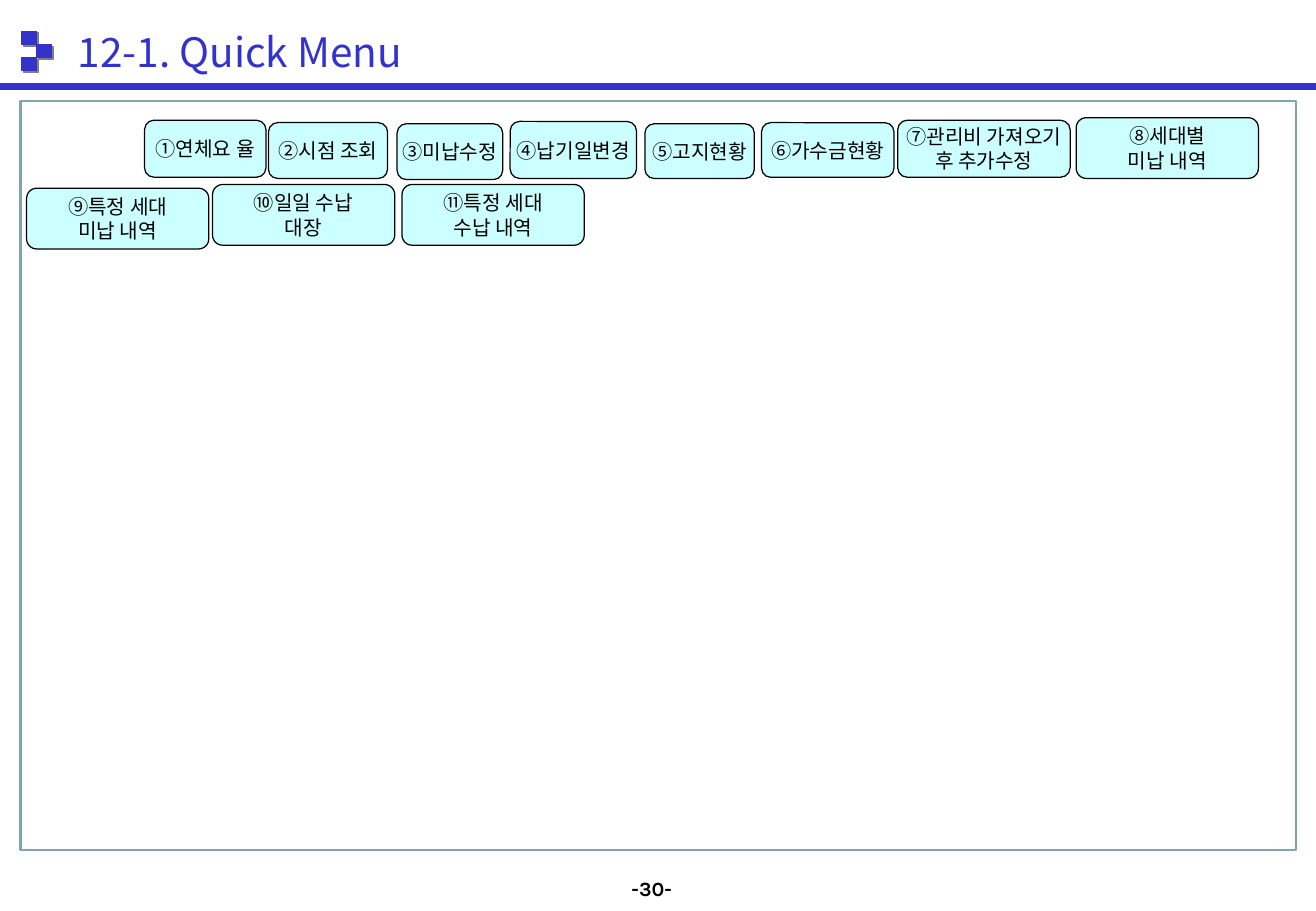
from dataclasses import dataclass

from pptx import Presentation
from pptx.dml.color import RGBColor
from pptx.enum.shapes import MSO_CONNECTOR, MSO_SHAPE
from pptx.enum.text import MSO_ANCHOR, MSO_AUTO_SIZE, PP_ALIGN
from pptx.oxml.xmlchemy import OxmlElement
from pptx.shapes.autoshape import Shape
from pptx.slide import Slide
from pptx.text.text import TextFrame
from pptx.util import Pt

RECT = MSO_SHAPE.RECTANGLE
ROUND = MSO_SHAPE.ROUNDED_RECTANGLE
STRAIGHT = MSO_CONNECTOR.STRAIGHT
MIDDLE = MSO_ANCHOR.MIDDLE
LEFT, CENTER = PP_ALIGN.LEFT, PP_ALIGN.CENTER
NO_FIT = MSO_AUTO_SIZE.NONE

BLUE = RGBColor(0x33, 0x33, 0xCC)
TEAL = RGBColor(0x81, 0xA4, 0xB1)
CYAN = RGBColor(0xCC, 0xFF, 0xFF)
BLACK = RGBColor(0, 0, 0)
SANS = "Noto Sans CJK KR"
KARLA = "Karla"
WIDTH, HEIGHT = 780, 540


@dataclass(frozen=True)
class Box:
    left: float
    top: float
    width: float
    height: float


@dataclass(frozen=True)
class Button:
    box: Box
    lines: tuple[str, ...]


BUTTONS = (
    Button(Box(85.7, 71.3, 72, 33.8), ("①연체요 율",)),
    Button(Box(159.1, 72.7, 70.6, 33.1), ("②시점 조회",)),
    Button(Box(235.4, 73.4, 62.6, 33.1), ("③미납수정",)),
    Button(Box(302.4, 72, 74.9, 33.8), ("④납기일변경",)),
    Button(Box(382.3, 73.4, 64.8, 32.4), ("⑤고지현황",)),
    Button(Box(451.4, 72.7, 78.5, 32.4), ("⑥가수금현황",)),
    Button(Box(532.1, 71.3, 102.2, 33.8), ("⑦관리비 가져오기", "후 추가수정")),
    Button(Box(637.9, 69.8, 108, 36), ("⑧세대별", "미납 내역")),
    Button(Box(15.8, 111.6, 108, 36), ("⑨특정 세대", "미납 내역")),
    Button(Box(126, 109.4, 108, 36), ("⑩일일 수납", "대장")),
    Button(Box(238.3, 109.4, 108, 36), ("⑪특정 세대", "수납 내역")),
)
MARKS = ((13, 18.5), (21.7, 26.4), (13, 34.2))


def write(frame: TextFrame, lines: tuple[str, ...], size: float, font: str,
          color: RGBColor, align: PP_ALIGN, bold: bool = False) -> None:
    for i, line in enumerate(lines):
        para = frame.paragraphs[0] if i == 0 else frame.add_paragraph()
        para.alignment = align
        run = para.add_run()
        run.text = line
        run.font.size = Pt(size)
        run.font.bold = bold
        run.font.color.rgb = color
        run.font.name = font
        east = OxmlElement("a:ea")
        east.set("typeface", font)
        run.font._element.append(east)


def add_box(slide: Slide, kind: MSO_SHAPE, box: Box, fill: RGBColor | None,
            edge: RGBColor, weight: float) -> Shape:
    shape = slide.shapes.add_shape(
        kind, Pt(box.left), Pt(box.top), Pt(box.width), Pt(box.height))
    shape.shadow.inherit = False
    if fill is None:
        shape.fill.background()
    else:
        shape.fill.solid()
        shape.fill.fore_color.rgb = fill
    shape.line.color.rgb = edge
    shape.line.width = Pt(weight)
    return shape


def add_shade(shape: Shape) -> None:
    """Cast a hard grey shadow down and to the right."""
    shade = OxmlElement("a:outerShdw")
    shade.set("dist", str(Pt(1.4)))
    shade.set("dir", "2700000")
    shade.set("algn", "ctr")
    shade.set("rotWithShape", "0")
    color = OxmlElement("a:srgbClr")
    color.set("val", "808080")
    shade.append(color)
    shape._element.spPr.find("{*}effectLst").append(shade)


def add_head(slide: Slide) -> None:
    """Draw the marker squares, the rule and the title."""
    for left, top in MARKS:
        add_shade(add_box(slide, RECT, Box(left, top, 8.7, 7.8), BLUE, BLUE, 0.75))
    rule = slide.shapes.add_connector(STRAIGHT, 0, Pt(51.3), Pt(WIDTH), Pt(51.3))
    rule.line.color.rgb = BLUE
    rule.line.width = Pt(4.5)
    rule._element.spPr.append(OxmlElement("a:effectLst"))

    title = slide.shapes.title
    title.left, title.top = Pt(36), Pt(9.4)
    title.width, title.height = Pt(240), Pt(41.8)
    frame = title.text_frame
    frame.auto_size = NO_FIT
    frame.word_wrap = True
    frame.vertical_anchor = MIDDLE
    frame.margin_left = Pt(10)
    write(frame, ("12-1. Quick Menu",), 24, SANS, BLUE, LEFT)


def add_button(slide: Slide, button: Button) -> None:
    shape = add_box(slide, ROUND, button.box, CYAN, BLACK, 0.75)
    frame = shape.text_frame
    frame.word_wrap = False
    frame.vertical_anchor = MIDDLE
    write(frame, button.lines, 12, SANS, BLACK, CENTER)


def add_page(slide: Slide) -> None:
    page = slide.shapes.add_textbox(Pt(367.2), Pt(516.2), Pt(54), Pt(21.6))
    page.text_frame.word_wrap = True
    write(page.text_frame, ("-30-",), 12, KARLA, BLACK, LEFT, bold=True)


def main() -> None:
    deck = Presentation()
    deck.slide_width, deck.slide_height = Pt(WIDTH), Pt(HEIGHT)
    slide = deck.slides.add_slide(deck.slide_layouts[5])
    add_page(slide)
    add_head(slide)
    add_box(slide, RECT, Box(12.2, 59.8, 756, 444.2), None, TEAL, 1.5)
    for button in BUTTONS:
        add_button(slide, button)
    deck.save("out.pptx")


if __name__ == "__main__":
    main()
